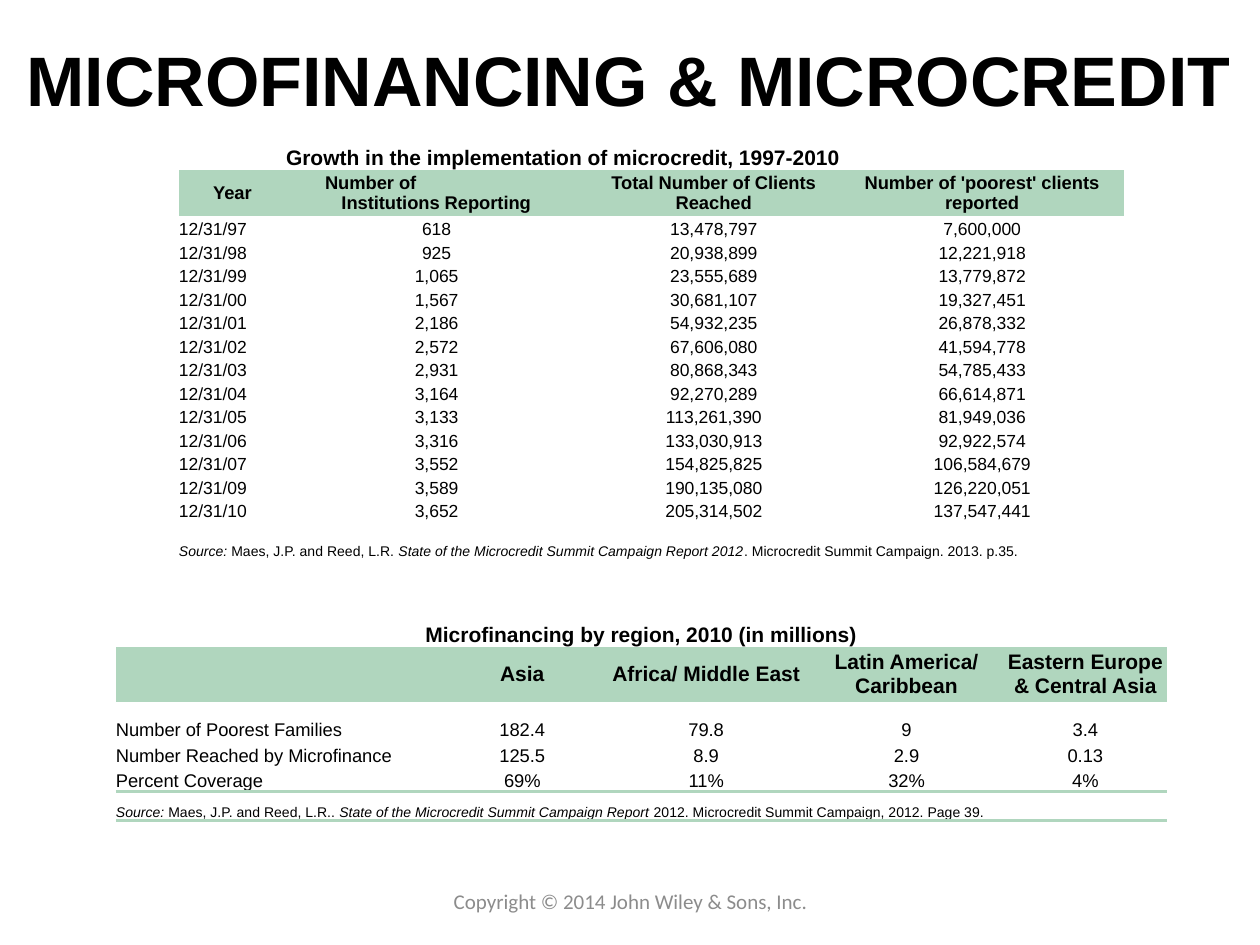
from lxml import etree
from pptx import Presentation
from pptx.dml.color import RGBColor
from pptx.enum.text import MSO_ANCHOR, PP_ALIGN
from pptx.oxml.ns import qn
from pptx.util import Inches, Pt

LEFT, CENTER = PP_ALIGN.LEFT, PP_ALIGN.CENTER
MIDDLE, BOTTOM = MSO_ANCHOR.MIDDLE, MSO_ANCHOR.BOTTOM
BLACK = RGBColor(0x00, 0x00, 0x00)
GRAY = RGBColor(0x8C, 0x8C, 0x8C)
GREEN = RGBColor(0xB0, 0xD6, 0xBE)
WHITE = RGBColor(0xFF, 0xFF, 0xFF)
NO_GRID_STYLE = "{2D5ABB26-0587-4C30-8999-92F81FD0307C}"

deck = Presentation()
deck.slide_width, deck.slide_height = Inches(10), Inches(7.5)
slide = deck.slides.add_slide(deck.slide_layouts[6])
GRID = deck.slide_width / 100


def write(frame, pieces, align, size, bold=False, font="Arial", color=BLACK):
    paragraph = frame.paragraphs[0]
    paragraph.alignment = align
    for index, piece in enumerate(pieces):
        run = paragraph.add_run()
        run.text = piece
        run.font.color.rgb = color
        look = {"name": font, "size": Pt(size), "bold": bold,
                "italic": len(pieces) > 1 and index % 2 == 0}
        for key, value in look.items():
            setattr(run.font, key, value)
    return paragraph


def plain_table(left, top, columns, rows):
    frame = slide.shapes.add_table(
        len(rows), len(columns), int(left * GRID), int(top * GRID),
        int(sum(columns) * GRID), int(sum(rows) * GRID))
    table = frame.table
    table.first_row = table.horz_banding = False
    table._tbl.tblPr.find(qn("a:tableStyleId")).text = NO_GRID_STYLE
    for column, width in zip(table.columns, columns):
        column.width = int(width * GRID)
    for row, height in zip(table.rows, rows):
        row.height = int(height * GRID)
    for cell in table.iter_cells():
        for side in ("left", "right", "top", "bottom"):
            setattr(cell, f"margin_{side}", 0)
        cell.vertical_anchor = BOTTOM
        cell.fill.background()
        etree.SubElement(cell.text_frame.paragraphs[0]._p, qn("a:endParaRPr"), sz="800")
    return table


captions = [
    (-0.2, 2.4, 100.2, 7.7, "MICROFINANCING & MICROCREDIT", 40, True, "Arial", BLACK),
    (34.2, 69.5, 31.7, 4, "Copyright © 2014 John Wiley & Sons, Inc.", 12, False, "Calibri", GRAY),
]
for left, top, width, height, words, size, bold, font, color in captions:
    box = slide.shapes.add_textbox(*(int(n * GRID) for n in (left, top, width, height)))
    box.text_frame.word_wrap = True
    box.text_frame.vertical_anchor = MIDDLE
    write(box.text_frame, [words], CENTER, size, bold, font, color)

growth_headings = ["Year", "Number of\vInstitutions Reporting",
                   "Total Number of Clients Reached", "Number of 'poorest' clients reported"]
growth_data = [
    ("12/31/97", "618", "13,478,797", "7,600,000"),
    ("12/31/98", "925", "20,938,899", "12,221,918"),
    ("12/31/99", "1,065", "23,555,689", "13,779,872"),
    ("12/31/00", "1,567", "30,681,107", "19,327,451"),
    ("12/31/01", "2,186", "54,932,235", "26,878,332"),
    ("12/31/02", "2,572", "67,606,080", "41,594,778"),
    ("12/31/03", "2,931", "80,868,343", "54,785,433"),
    ("12/31/04", "3,164", "92,270,289", "66,614,871"),
    ("12/31/05", "3,133", "113,261,390", "81,949,036"),
    ("12/31/06", "3,316", "133,030,913", "92,922,574"),
    ("12/31/07", "3,552", "154,825,825", "106,584,679"),
    ("12/31/09", "3,589", "190,135,080", "126,220,051"),
    ("12/31/10", "3,652", "205,314,502", "137,547,441"),
]
growth = plain_table(14.2, 10.7, [8.5, 23.9, 20.1, 22.5],
                     [2.8, 3.65] + [1.87] * len(growth_data) + [3, 3.5])
growth.cell(0, 1).merge(growth.cell(0, 3))
write(growth.cell(0, 1).text_frame,
      ["Growth in the implementation of microcredit, 1997-2010"], LEFT, 12, True)
for c, heading in enumerate(growth_headings):
    cell = growth.cell(1, c)
    cell.fill.solid()
    cell.fill.fore_color.rgb = GREEN
    cell.vertical_anchor = MIDDLE
    first, *rest = heading.split("\v")
    line = write(cell.text_frame, [first], LEFT if rest else CENTER, 10.5, True)
    if rest:
        line.add_line_break()
        write(cell.text_frame, rest, LEFT, 10.5, True)
        line._p.pPr.set("marL", str(int(4.4 * GRID)))
        line._p.pPr.set("indent", str(int(-1.3 * GRID)))
for r, record in enumerate(growth_data, 2):
    for c, value in enumerate(record):
        write(growth.cell(r, c).text_frame, [value], CENTER if c else LEFT, 10)
for r in (15, 16):
    growth.cell(r, 0).merge(growth.cell(r, 3))
write(growth.cell(15, 0).text_frame,
      ["Source: ", "Maes, J.P. and Reed, L.R. ",
       "State of the Microcredit Summit Campaign Report 2012",
       ". Microcredit Summit Campaign. 2013. p.35."], LEFT, 8)

region_columns = (0, 1, 2, 3, 5)
region_data = [
    ("", "Asia", "Africa/ Middle East", "Latin America/ Caribbean", "Eastern Europe & Central Asia"),
    ("Number of Poorest Families", "182.4", "79.8", "9", "3.4"),
    ("Number Reached by Microfinance", "125.5", "8.9", "2.9", "0.13"),
    ("Percent Coverage", "69%", "11%", "32%", "4%"),
]
region = plain_table(9.2, 47.5, [25.8, 12.9, 16.3, 3.2, 12.3, 12.9],
                     [3.85, 4.35, 3.1, 2.02, 2.02, 2.3, 2.3])
region.cell(0, 0).merge(region.cell(0, 5))
write(region.cell(0, 0).text_frame,
      ["Microfinancing by region, 2010 (in millions)"], CENTER, 12, True)
for r, record in enumerate(region_data, 1):
    header = r == 1
    region.cell(r, 3).merge(region.cell(r, 4))
    for c in range(6):
        cell = region.cell(r, c)
        cell.fill.solid()
        cell.fill.fore_color.rgb = GREEN if header else WHITE
        cell.vertical_anchor = MIDDLE if header else BOTTOM
    for c, value in zip(region_columns, record):
        if value:
            write(region.cell(r, c).text_frame, [value], CENTER if c else LEFT,
                  12 if header else 10.5, header)
for r, edge in ((4, "a:lnB"), (5, "a:lnT")):
    for c in range(6):
        border = etree.Element(qn(edge), w=str(Pt(2.25)))
        paint = etree.SubElement(border, qn("a:solidFill"))
        etree.SubElement(paint, qn("a:srgbClr"), val=str(GREEN))
        region.cell(r, c)._tc.get_or_add_tcPr().insert(0, border)
region.cell(5, 0).merge(region.cell(5, 4))
region.cell(6, 0).merge(region.cell(6, 3))
write(region.cell(5, 0).text_frame,
      ["Source: ", "Maes, J.P. and Reed, L.R.. ",
       "State of the Microcredit Summit Campaign Report ",
       "2012. Microcredit Summit Campaign, 2012. Page 39."], LEFT, 8)

deck.save("out.pptx")
